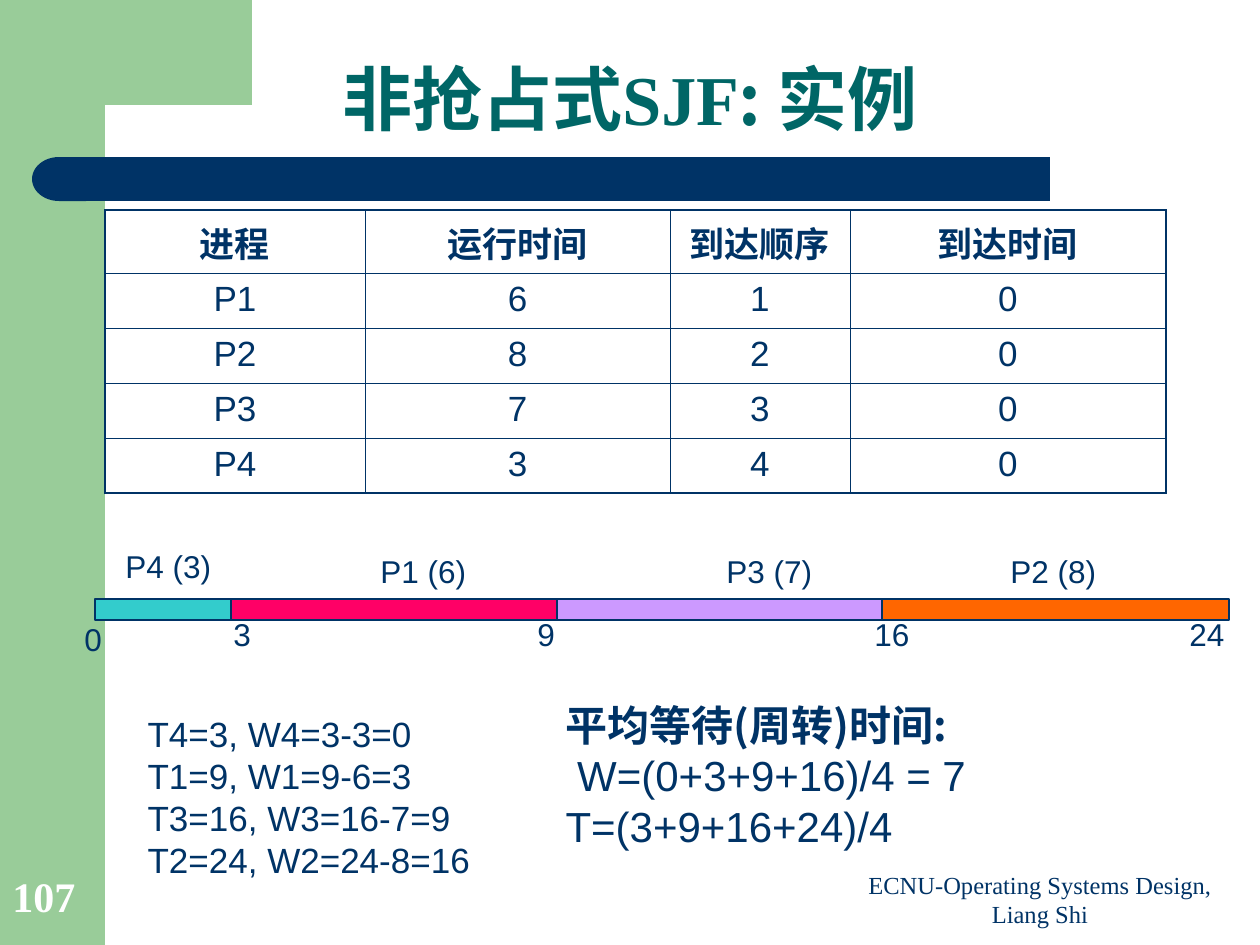
import lxml.etree
import pptx
import pptx.dml.color
import pptx.enum.shapes
import pptx.enum.text
import pptx.oxml.ns
import pptx.util

SCALE = 914400 / 126  # EMU in one px
COLORS = {
    "green": "99CC99", "navy": "003366", "teal": "006666", "white": "FFFFFF",
    "P4": "33CCCC", "P1": "FF0066", "P3": "CC99FF", "P2": "FF6600",
}
CJK = "Noto Sans CJK SC"
SERIF = "Times New Roman"
SHAPES = pptx.enum.shapes.MSO_SHAPE
ALIGN = pptx.enum.text.PP_ALIGN
ANCHOR = pptx.enum.text.MSO_ANCHOR
qn = pptx.oxml.ns.qn

PROCESSES = [
    ["进程", "运行时间", "到达顺序", "到达时间"],
    ["P1", "6", "1", "0"],
    ["P2", "8", "2", "0"],
    ["P3", "7", "3", "0"],
    ["P4", "3", "4", "0"],
]


def px(length):
    return pptx.util.Emu(round(length * SCALE))


def rgb(name):
    return pptx.dml.color.RGBColor.from_string(COLORS[name])


def style(font, size, color="navy", face="Arial", bold=False):
    font.size = pptx.util.Pt(size)
    font.bold = bold
    font.color.rgb = rgb(color)
    font.name = face


def place(item, box):
    item.left, item.top, item.width, item.height = map(px, box)


def paint(shape, color, outlined=False):
    shape.shadow.inherit = False
    shape.fill.solid()
    shape.fill.fore_color.rgb = rgb(color)
    if outlined:
        shape.line.color.rgb = rgb("navy")
        shape.line.width = pptx.util.Pt(0.75)
    else:
        shape.line.fill.background()


def add_block(slide, kind, box, color, outlined=False):
    block = slide.shapes.add_shape(kind, *map(px, box))
    paint(block, color, outlined)
    return block


def add_label(slide, box, text, size, wrap=False, anchor=ANCHOR.TOP, align=ALIGN.LEFT, **font):
    frame = slide.shapes.add_textbox(*map(px, box)).text_frame
    frame.word_wrap = wrap
    frame.vertical_anchor = anchor
    paragraph = frame.paragraphs[0]
    paragraph.text = text
    paragraph.alignment = align
    style(paragraph.font, size, **font)
    return paragraph


def decorate(slide, width, height):
    """Green side band with its corner, and the navy rule under the title."""
    add_block(slide, SHAPES.RECTANGLE, (0, 0, 105, height), "green")
    builder = slide.shapes.build_freeform(252, 0, scale=SCALE)
    builder.add_line_segments([
        (252, 105), (105, 105), (97, 107), (89, 116), (86, 131),
        (84, 146), (84, 161), (63, 161), (63, 0),
    ])
    paint(builder.convert_to_shape(), "green")
    add_block(slide, SHAPES.RECTANGLE, (84, 157, 966, 44), "navy")
    add_block(slide, SHAPES.FLOWCHART_DELAY, (32, 157, 54, 44), "navy").rotation = 180


def fill_title(title, box):
    place(title, box)
    title.text_frame.vertical_anchor = ANCHOR.BOTTOM
    paragraph = title.text_frame.paragraphs[0]
    paragraph.alignment = ALIGN.CENTER
    paragraph.line_spacing = 0.9
    for text, face in [("非抢占式", "Arial"), ("SJF", SERIF), (": 实例", CJK)]:
        run = paragraph.add_run()
        run.text = text
        style(run.font, 40, "teal", face, True)


def set_borders(cell, widths):
    """Draw the cell's sides, given as a dict of L, R, T, B to points."""
    properties = cell._tc.get_or_add_tcPr()
    for side, width in widths.items():
        line = lxml.etree.SubElement(
            properties, qn(f"a:ln{side}"), w=str(pptx.util.Pt(width)))
        fill = lxml.etree.SubElement(line, qn("a:solidFill"))
        lxml.etree.SubElement(fill, qn("a:srgbClr"), val=COLORS["navy"])


def add_process_table(slide, left, top, columns, row_height):
    last_row, last_column = len(PROCESSES) - 1, len(columns) - 1
    box = (left, top, sum(columns), row_height * len(PROCESSES))
    table = slide.shapes.add_table(len(PROCESSES), len(columns), *map(px, box)).table
    table.horz_banding = False
    for column, width in zip(table.columns, columns):
        column.width = px(width)
    for r, values in enumerate(PROCESSES):
        table.rows[r].height = px(row_height)
        for c, value in enumerate(values):
            cell = table.cell(r, c)
            edges = {"L": c == 0, "R": c == last_column, "T": r == 0, "B": r == last_row}
            set_borders(cell, {side: 1.08 if outer else 0.45 for side, outer in edges.items()})
            cell.fill.background()
            paragraph = cell.text_frame.paragraphs[0]
            paragraph.text = value
            paragraph.alignment = ALIGN.CENTER
            paragraph.space_before = pptx.util.Pt(5)
            style(paragraph.font, 20, bold=r == 0)


def add_timeline(slide, left, top):
    """Bars of the schedule, with process labels above and times below."""
    bars = [  # process, run time, start, end, label offset from left and top
        ("P4", 3, 0, 136, 18, -58),
        ("P1", 6, 136, 462, 273, -53),
        ("P3", 7, 462, 787, 619, -53),
        ("P2", 8, 787, 1134, 903, -53),
    ]
    for process, run_time, start, end, label_x, label_y in bars:
        add_block(slide, SHAPES.RECTANGLE, (left + start, top, end - start, 21),
                  process, outlined=True)
        add_label(slide, (left + label_x, top + label_y, 111, 50),
                  f"{process} ({run_time})", 18)
    for time, x, y in [(0, -23, 15), (3, 126, 10), (9, 430, 10), (16, 767, 10), (24, 1082, 10)]:
        add_label(slide, (left + x, top + y, 43 if time < 10 else 60, 50), str(time), 18)


def fill_list(body, box, lines, size, heading=None):
    place(body, box)
    frame = body.text_frame
    frame.auto_size = pptx.enum.text.MSO_AUTO_SIZE.NONE
    frame.text = "\n".join(([heading] if heading else []) + lines)
    for paragraph in frame.paragraphs:
        paragraph.space_before = pptx.util.Pt(0)
        properties = paragraph._p.get_or_add_pPr()
        properties.set("marL", "0")
        properties.set("indent", "0")
        lxml.etree.SubElement(properties, qn("a:buNone"))
        style(paragraph.font, size)
    if heading:
        style(frame.paragraphs[0].font, size, face=CJK, bold=True)


def add_footer(slide, top):
    add_label(slide, (840, top + 8, 400, 66), "ECNU-Operating Systems Design, Liang Shi", 14,
              wrap=True, anchor=ANCHOR.BOTTOM, align=ALIGN.CENTER, face=SERIF)
    number = add_label(slide, (0, top, 103, 67), "107", 24, wrap=True,
                       anchor=ANCHOR.BOTTOM, color="white", face=SERIF, bold=True)
    number.line_spacing = 0.9


def main():
    deck = pptx.Presentation()
    deck.slide_width, deck.slide_height = px(1260), px(945)
    slide = deck.slides.add_slide(deck.slide_layouts.get_by_name("Two Content"))
    title, turnaround, averages = list(slide.placeholders)[:3]
    decorate(slide, 1260, 945)
    fill_title(title, (10, 10, 1240, 137))
    add_process_table(slide, 105, 210, [260, 305, 180, 316], 55)
    add_timeline(slide, 95, 599)
    fill_list(turnaround, (135, 706, 355, 181), [
        "T4=3, W4=3-3=0", "T1=9, W1=9-6=3", "T3=16, W3=16-7=9", "T2=24, W2=24-8=16"], 20)
    fill_list(averages, (553, 693, 528, 164), [
        " W=(0+3+9+16)/4 = 7", "T=(3+9+16+24)/4"], 24, heading="平均等待(周转)时间:")
    add_footer(slide, 861)
    deck.save("out.pptx")


if __name__ == "__main__":
    main()
